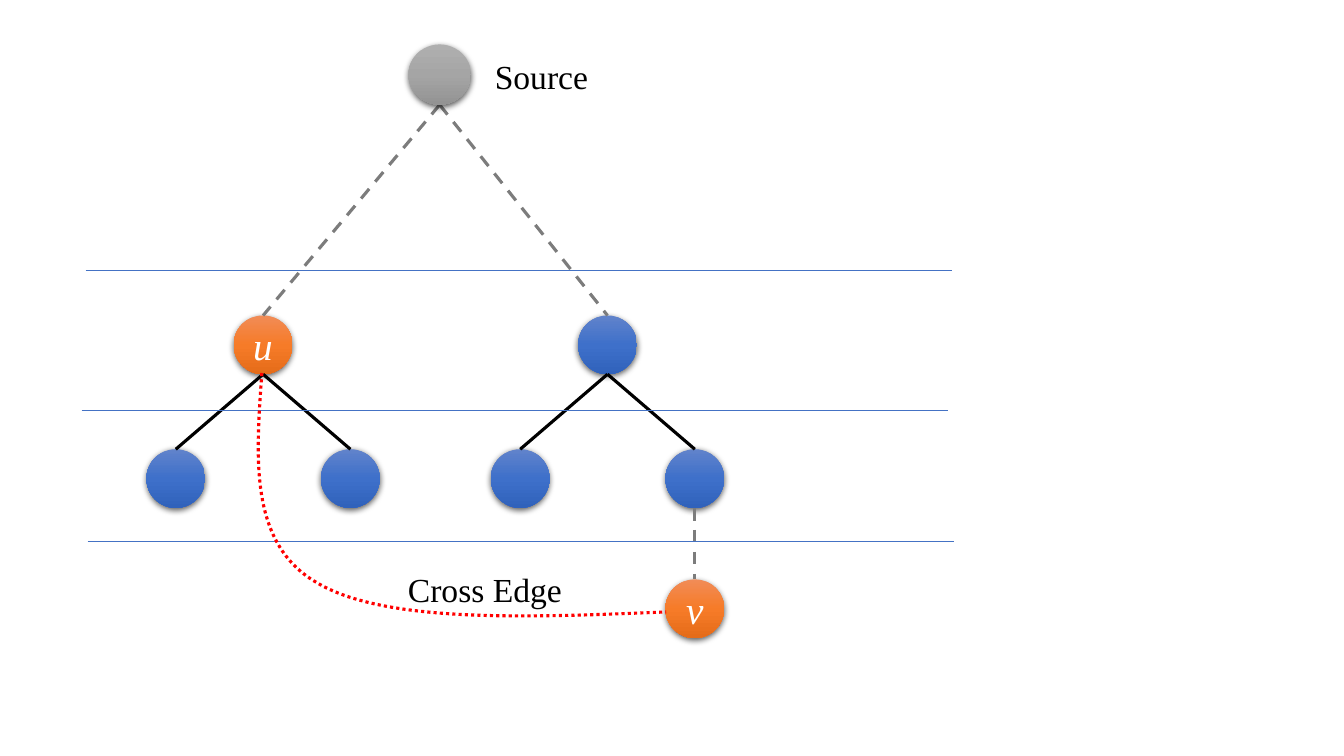
from lxml import etree
from pptx import Presentation
from pptx.dml.color import RGBColor
from pptx.enum.dml import MSO_LINE as Dash
from pptx.enum.shapes import MSO_CONNECTOR as Link, MSO_SHAPE as Shape
from pptx.enum.text import MSO_ANCHOR as Anchor, PP_ALIGN as Align
from pptx.oxml import parse_xml
from pptx.oxml.ns import nsdecls, qn
from pptx.util import Cm, Pt

FONT = "Times New Roman"
BLUE = ("6183CB", "3E70CA", "3062BB")
ORANGE = ("F18C57", "F67B28", "E56C19")
GREY = ("AFAFAF", "A5A5A5", "939393")
SIZE = 1.48  # node diameter, cm
SPREAD = 2.2  # parent to child, sideways
DROP = 3.37  # parent top to child top


def color(text):
    return RGBColor.from_string(text)


def write(frame, text, size, ink):
    para = frame.paragraphs[0]
    para.text = text
    font = para.font
    font.name, font.size = FONT, Pt(size)
    font.color.rgb = color(ink)
    return para


def node(slide, mid, top, shades, text="", wide=SIZE, high=SIZE):
    """Shaded circle centred on mid, with an optional letter."""
    oval = slide.shapes.add_shape(
        Shape.OVAL, Cm(mid - wide / 2), Cm(top), Cm(wide), Cm(high))
    oval.line.fill.background()
    stops = "".join(
        f'<a:gs pos="{i * 50000}"><a:srgbClr val="{shade}"/></a:gs>'
        for i, shade in enumerate(shades))
    props = oval.element.spPr
    props.insert(2, parse_xml(
        f'<a:gradFill {nsdecls("a")}><a:gsLst>{stops}</a:gsLst>'
        '<a:lin ang="5400000" scaled="0"/></a:gradFill>'))
    props.append(parse_xml(
        f'<a:effectLst {nsdecls("a")}>'
        '<a:outerShdw blurRad="57150" dist="19050" dir="5400000" '
        'algn="ctr" rotWithShape="0"><a:srgbClr val="000000">'
        '<a:alpha val="63000"/></a:srgbClr></a:outerShdw></a:effectLst>'))
    if text:
        frame = oval.text_frame
        frame.word_wrap = False
        frame.vertical_anchor = Anchor.MIDDLE
        para = write(frame, text, 28, "FFFFFF")
        para.alignment = Align.CENTER
        para.font.italic = True


def edge(slide, start, end, ink="000000", width=2.25, dash=None):
    line = slide.shapes.add_connector(
        Link.STRAIGHT, *(Cm(v) for v in (*start, *end)))
    line.line.color.rgb = color(ink)
    line.line.width = Pt(width)
    if dash:
        line.line.dash_style = dash
    etree.SubElement(line.element.spPr, qn("a:effectLst"))


def trail(slide, start, end):
    """Dashed edge that stands for a longer path."""
    edge(slide, start, end, "7C7C7C", dash=Dash.DASH)


def branch(slide, mid, top, shades, text=""):
    """Parent node with two children."""
    kids = (mid - SPREAD, mid + SPREAD)
    node(slide, mid, top, shades, text)
    for kid in kids:
        node(slide, kid, top + DROP, BLUE)
    for kid in kids:
        edge(slide, (mid, top + SIZE), (kid, top + DROP))


def label(slide, left, top, wide, text):
    box = slide.shapes.add_textbox(Cm(left), Cm(top), Cm(wide), Cm(1.28))
    box.text_frame.word_wrap = True
    write(box.text_frame, text, 24, "000000")


def cross(slide, start, bends, left, base):
    """Dotted curve through Bezier bends, reaching out to left and base."""
    end = bends[-1][-1]
    build = slide.shapes.build_freeform(Cm(start[0]), Cm(start[1]))
    build.add_line_segments(
        [(Cm(x), Cm(y)) for x, y in ((left, base), end)], close=False)
    curve = build.convert_to_shape()
    curve.shadow.inherit = False
    curve.fill.background()
    curve.line.color.rgb = color("FF0000")
    curve.line.width = Pt(2.25)
    curve.line.dash_style = Dash.ROUND_DOT
    path = next(curve.element.iter(qn("a:path")))
    for step in path.findall(qn("a:lnTo")):
        path.remove(step)
    for bend in bends:
        step = etree.SubElement(path, qn("a:cubicBezTo"))
        for x, y in bend:
            etree.SubElement(step, qn("a:pt"), x=str(Cm(x) - curve.left),
                             y=str(Cm(y) - curve.top))


def graph(slide, left, top):
    """Search tree with its levels and the cross edge from u to v."""
    root, high = left + 9.02, 1.52
    mids = (left + 4.57, left + 13.25)
    row = top + 6.83
    last = mids[1] + SPREAD
    low = top + 13.48
    for mid, shades, text in zip(mids, (ORANGE, BLUE), ("u", "")):
        branch(slide, mid, row, shades, text)
    node(slide, last, low, ORANGE, "v")
    trail(slide, (last, row + DROP + SIZE), (last, low))
    for mid in mids:
        trail(slide, (root, top + high), (mid, row))
    for x, y in ((0.1, 5.69), (0, 9.22), (0.15, 12.52)):
        edge(slide, (left + x, top + y), (left + x + 21.84, top + y),
             "4472C4", 0.5)
    node(slide, root, top, GREY, wide=1.57, high=high)
    label(slide, left + 10.16, top + 0.16, 3.28, "Source")
    bends = (((4.39, 10.41), (4.21, 12.57), (5.92, 13.56)),
             ((7.62, 14.58), (11.17, 14.45), (14.73, 14.3)))
    cross(slide, (left + 4.54, top + 8.28),
          [[(left + x, top + y) for x, y in bend] for bend in bends],
          left + 4.44, top + 14.4)
    label(slide, left + 7.97, top + 13.08, 5.23, "Cross Edge")


def main():
    deck = Presentation()
    deck.slide_width, deck.slide_height = Cm(33.87), Cm(19.05)
    slide = deck.slides.add_slide(deck.slide_layouts[6])
    graph(slide, 2.06, 1.12)
    deck.save("out.pptx")


if __name__ == "__main__":
    main()
